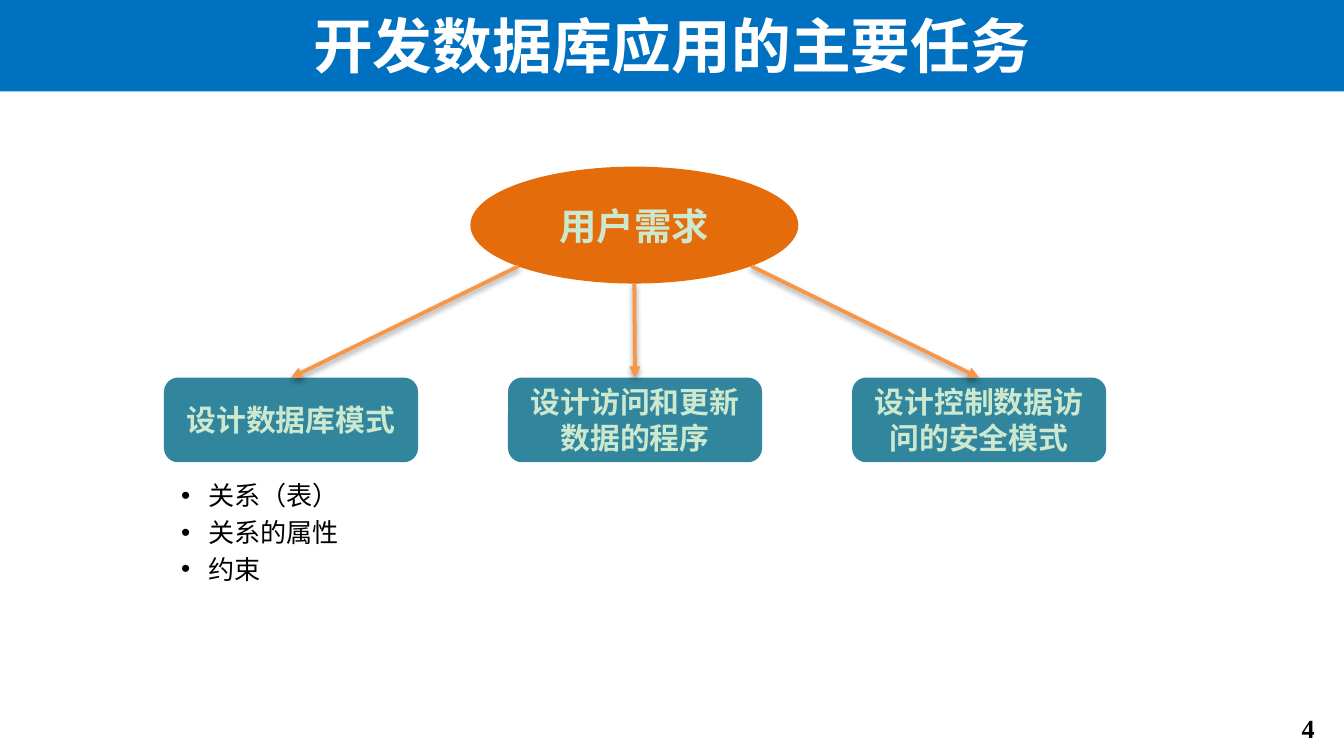
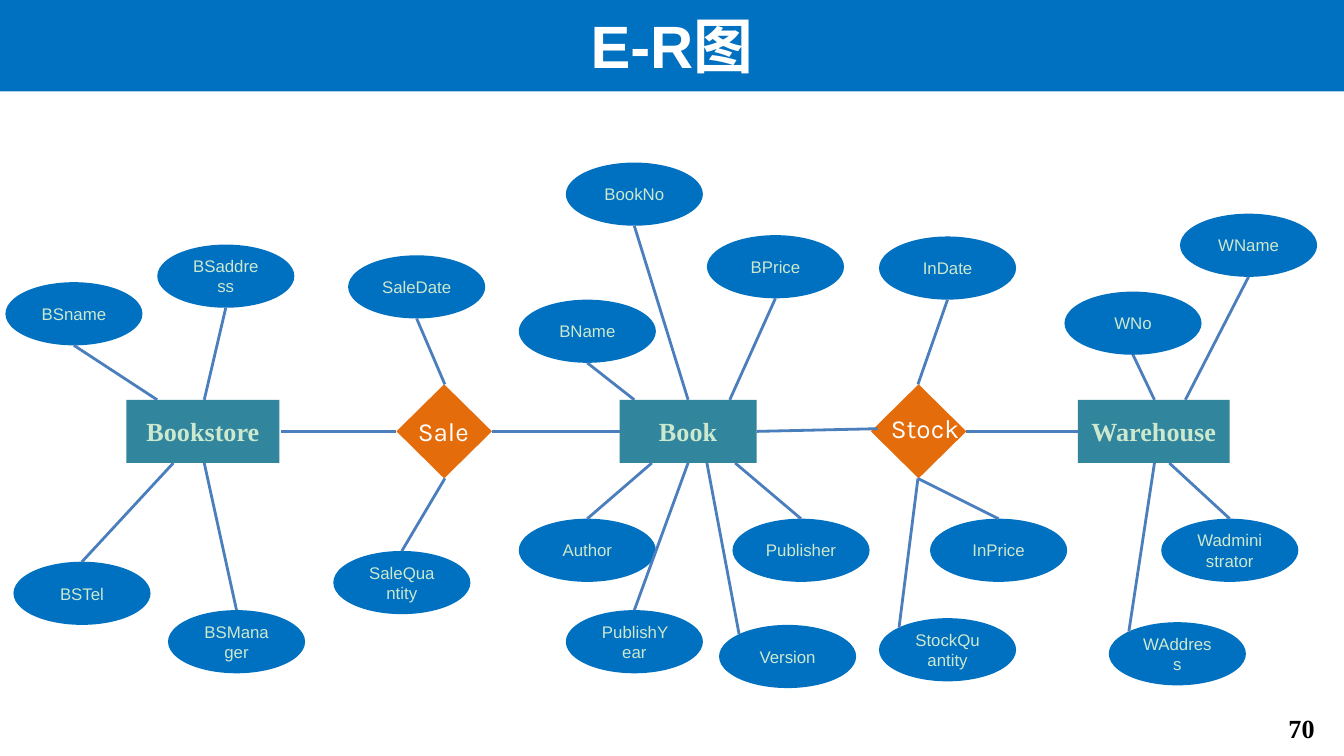
from lxml import etree
from pptx import Presentation
from pptx.dml.color import RGBColor
from pptx.enum.shapes import MSO_CONNECTOR as CONN, MSO_SHAPE as SHAPE
from pptx.enum.text import MSO_ANCHOR as ANCHOR, PP_ALIGN as ALIGN
from pptx.oxml.ns import qn
from pptx.util import Inches, Pt

rgb = RGBColor.from_string
BLUE, TEAL, ORANGE = "0070C0", "31859C", "E46C0A"
ARROW, LINK = "F79646", "4B7EBC"
WHITE, BLACK, MINT = "FFFFFF", "000000", "CCE8CF"
CJK = "Noto Sans CJK SC"

# The slide is a grid of square cells, 100 columns by 56.25 rows
CELL = Inches(0.1)
COLS, ROWS = 100, 56.25

TITLE = dict(size=Pt(32), bold=True, name="Arial")
NUMBER = dict(size=Pt(14), bold=True, name="Times New Roman")
NEED = dict(size=Pt(20), bold=True, name=CJK)
TASK = dict(size=Pt(16), bold=True, name=CJK)
DETAIL = dict(size=Pt(14), name=CJK)
ENTITY = NUMBER
RELATION = dict(size=Pt(14), name="Karla")
ATTRIBUTE = dict(size=Pt(9), name="Arial")


def add_box(s, kind, grid, lines, style, color, fill=None, align=ALIGN.CENTER,
            wrap=True, bullet=False):
    """Add a filled shape, or a plain text box when kind is None."""
    left, top, width, height = (round(v * CELL) for v in grid)
    if kind is None:
        sp = s.shapes.add_textbox(left, top, width, height)
    else:
        sp = s.shapes.add_shape(kind, left, top, width, height)
        sp.shadow.inherit = False
        sp.fill.solid()
        sp.fill.fore_color.rgb = rgb(fill)
        sp.line.fill.background()
    tf = sp.text_frame
    tf.word_wrap = wrap
    tf.vertical_anchor = ANCHOR.TOP if kind is None else ANCHOR.MIDDLE
    for i, line in enumerate(lines):
        p = tf.paragraphs[0] if i == 0 else tf.add_paragraph()
        p.alignment = align
        if style["name"] == CJK:
            p.line_spacing = Pt(round(style["size"].pt * 1.2, 1))
        if i:
            p.space_before = Pt(2.8)
        if bullet:
            pPr = p._p.get_or_add_pPr()
            pPr.set("marL", str(Inches(0.31)))
            pPr.set("indent", str(Inches(-0.2)))
            etree.SubElement(pPr, qn("a:buFont")).set("typeface", "Arial")
            etree.SubElement(pPr, qn("a:buChar")).set("char", "•")
        r = p.add_run()
        r.text = line
        for key, value in style.items():
            setattr(r.font, key, value)
        r.font.color.rgb = rgb(color)
        etree.SubElement(r._r.get_or_add_rPr(), qn("a:ea")).set("typeface", CJK)


def add_line(s, start, end, color, width, arrow=False):
    """Add a plain line, or a shadowed arrow pointing at end."""
    ends = (round(v * CELL) for v in (*start, *end))
    cx = s.shapes.add_connector(CONN.STRAIGHT, *ends)
    cx.line.color.rgb = rgb(color)
    cx.line.width = Pt(width)
    spPr = cx._element.spPr
    effects = etree.SubElement(spPr, qn("a:effectLst"))
    if arrow:
        etree.SubElement(spPr.find(qn("a:ln")), qn("a:tailEnd")).set("type", "triangle")
        shadow = etree.SubElement(effects, qn("a:outerShdw"), blurRad="40000",
                                  dist="20000", dir="5400000", rotWithShape="0")
        tint = etree.SubElement(shadow, qn("a:srgbClr"), val=BLACK)
        etree.SubElement(tint, qn("a:alpha"), val="38000")


prs = Presentation()
prs.slide_width, prs.slide_height = round(COLS * CELL), round(ROWS * CELL)

# Shared frame: background, title band, page number
slides = []
for title, number in (("开发数据库应用的主要任务", "4"), ("E-R图", "70")):
    s = prs.slides.add_slide(prs.slide_layouts[6])
    s.background.fill.solid()
    s.background.fill.fore_color.rgb = rgb(WHITE)
    add_box(s, None, (92.5, 52.5, 6.3, 3.4), [number], NUMBER, BLACK, align=ALIGN.RIGHT)
    add_box(s, SHAPE.RECTANGLE, (0, -0.2, COLS, 7), [title], TITLE, WHITE, BLUE)
    slides.append(s)
tasks_slide, er_slide = slides

# Tasks: one need leads to three tasks
s = tasks_slide
add_box(s, SHAPE.OVAL, (35, 12.4, 24.4, 8.7), ["用户需求"], NEED, MINT, ORANGE)
TASK_W, TASK_STEP, TASK_TOP = 18.9, 25.6, 28.1
tasks = ("设计数据库模式", "设计访问和更新数据的程序", "设计控制数据访问的安全模式")
for i, task in enumerate(tasks):
    add_box(s, SHAPE.ROUNDED_RECTANGLE, (12.2 + i * TASK_STEP, TASK_TOP, TASK_W, 6.3),
            [task], TASK, MINT, TEAL)
add_box(s, None, (11.4, 35.2, 15, 9), ["关系（表）", "关系的属性", "约束"], DETAIL, BLACK,
        align=ALIGN.LEFT, bullet=True)
for i, start in enumerate(((38.6, 19.8), (47.2, 21.1), (55.9, 19.8))):
    add_line(s, start, (12.2 + i * TASK_STEP + TASK_W / 2, TASK_TOP), ARROW, 2, arrow=True)

# E-R diagram: each host has its attributes as (name, column, row, column of the
# line's end on the host)
s = er_slide
AXIS = 32.1
BOX_H, DIAMOND_W, DIAMOND_H = 4.7, 7.1, 7
OVAL_W, OVAL_H = 10.2, 4.7
entities = [
    ("Bookstore", 9.4, 11.4, [
        ("BSname", 0.4, 21, 11.7), ("BSaddress", 11.7, 18.2, 15.2),
        ("BSTel", 1, 41.8, 12.9), ("BSManager", 12.5, 45.4, 15.2)]),
    ("Book", 46.1, 10.2, [
        ("BookNo", 42.1, 12.1, 51.2), ("BPrice", 52.6, 17.5, 54.3),
        ("BName", 38.6, 22.3, 47.2), ("Author", 38.6, 38.6, 48.5),
        ("Publisher", 54.5, 38.6, 54.7), ("PublishYear", 42.1, 45.4, 51.2),
        ("Version", 53.5, 46.5, 52.6)]),
    ("Warehouse", 80.2, 11.3, [
        ("WName", 87.8, 15.9, 88.2), ("WNo", 79.2, 21.7, 85.9),
        ("Wadministrator", 86.4, 38.6, 87), ("WAddress", 82.5, 46.3, 85.9)]),
]
relations = [
    ("Sale", 29.5, (30.1, 30.4), [
        ("SaleDate", 25.9, 19, 33.1), ("SaleQuantity", 24.8, 41, 33.1)]),
    ("Stock", 64.8, (65.3, 30.2), [
        ("InDate", 65.4, 17.6, 68.3), ("InPrice", 69.2, 38.6, 68.3),
        ("StockQuantity", 65.4, 46, 68.3)]),
]
corner_joined = {"Version", "StockQuantity", "WAddress"}
CORNER = (1 - 0.5 ** 0.5) / 2  # share of an oval's size at its diagonal point

attributes = []
for name, col, width, owned in entities:
    add_box(s, SHAPE.RECTANGLE, (col, AXIS - BOX_H / 2, width, BOX_H), [name],
            ENTITY, MINT, TEAL, wrap=False)
    attributes += [(BOX_H, *a) for a in owned]
for name, col, label, owned in relations:
    add_box(s, SHAPE.DIAMOND, (col, AXIS - DIAMOND_H / 2, DIAMOND_W, DIAMOND_H), [],
            RELATION, WHITE, ORANGE)
    attributes += [(DIAMOND_H, *a) for a in owned]
for _, name, col, row, _ in attributes:
    add_box(s, SHAPE.OVAL, (col, row, OVAL_W, OVAL_H), [name], ATTRIBUTE, MINT, BLUE)
for name, _, label, _ in relations:
    add_box(s, None, (*label, 7.9, 3.4), [name], RELATION, WHITE, align=ALIGN.LEFT)

for host_h, name, col, row, host_col in attributes:
    above = row < AXIS
    start = (col + OVAL_W / 2, row + OVAL_H if above else row)
    if name in corner_joined:
        start = (col + OVAL_W * CORNER, row + OVAL_H * CORNER)
    host_row = AXIS - host_h / 2 if above else AXIS + host_h / 2
    add_line(s, start, (host_col, host_row), LINK, 1.5)
for start, end in (((29.5, AXIS), (20.9, AXIS)), ((46.1, AXIS), (36.6, AXIS)),
                   ((65.3, 31.9), (56.3, AXIS)), ((80.2, AXIS), (71.9, AXIS))):
    add_line(s, start, end, LINK, 1.5)

prs.save("out.pptx")
